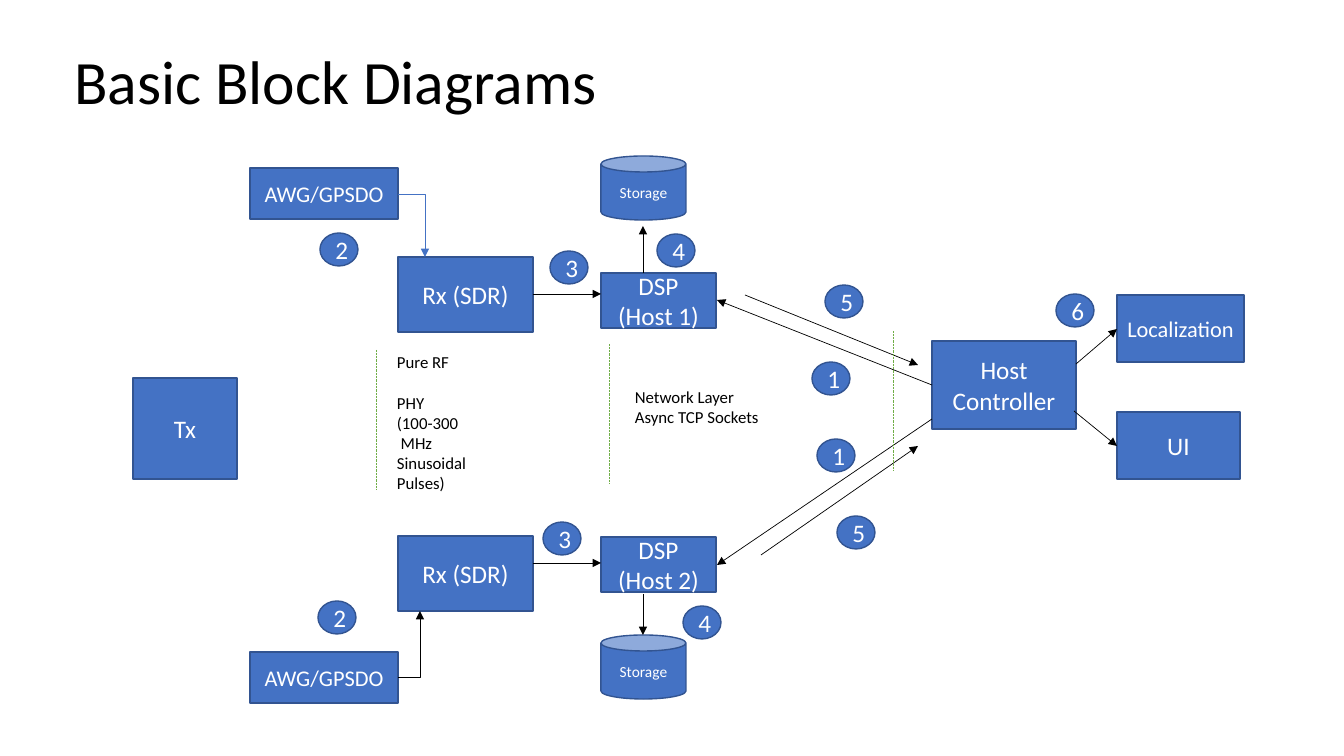
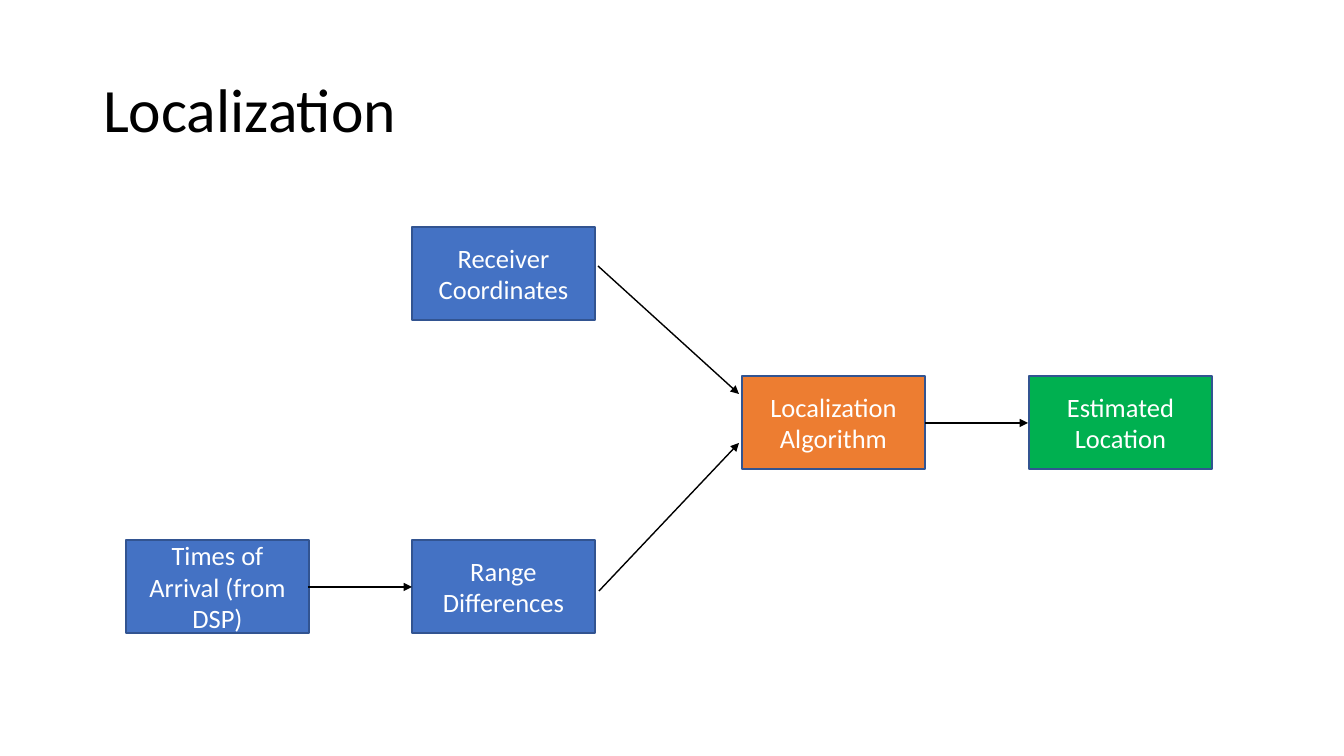
from lxml.etree import SubElement
from pptx import Presentation
from pptx.dml.color import RGBColor
from pptx.enum.dml import MSO_LINE
from pptx.enum.shapes import MSO_CONNECTOR, MSO_SHAPE
from pptx.enum.text import MSO_ANCHOR, MSO_AUTO_SIZE, PP_ALIGN
from pptx.oxml.ns import qn
from pptx.util import Emu, Pt

SLIDE_W, SLIDE_H = 1344, 756
SCALE = 12192000 / SLIDE_W
FONT = "Calibri"
BLACK, WHITE = "000000", "FFFFFF"
BLUE, NAVY, ORANGE, GREEN, LIME = "4472C4", "325491", "ED7D31", "00B050", "70AD47"
TITLE_SIZE = (1159, 146)

# Block diagram: lines of text, left, top, width, height, font size
BLOCKS = [
    (["Tx"], 133, 378, 104, 101, 18),
    (["Rx (SDR)"], 398, 257, 135, 75, 18),
    (["Rx (SDR)"], 398, 536, 135, 75, 18),
    (["DSP", "(Host 1)"], 601, 273, 115, 55, 18),
    (["DSP", "(Host 2)"], 601, 537, 115, 55, 18),
    (["Host", "Controller"], 932, 341, 144, 88, 18),
    (["Localization"], 1117, 295, 127, 67, 16),
    (["UI"], 1117, 412, 123, 67, 18),
    (["AWG/GPSDO"], 250, 168, 148, 51, 16),
    (["AWG/GPSDO"], 250, 652, 148, 51, 16),
]
STORAGE_X, STORAGE_TOPS, STORAGE_SIZE = 601, (156, 635), (85, 64)
ARROWS = [
    (533, 294, 601, 294), (533, 563, 601, 563),
    (643, 273, 643, 226), (643, 594, 643, 635),
    (932, 385, 717, 300), (932, 419, 717, 565),
    (745, 295, 918, 365), (761, 555, 918, 446),
    (1076, 364, 1117, 329), (1074, 411, 1117, 446),
]
CLOCK_ARROWS = [((398, 194, 425, 257), BLUE), ((398, 677, 420, 611), BLACK)]
BADGE_SIZE = (38, 33)
BADGES = {
    "1": [(812, 362), (817, 439)],
    "2": [(320, 233), (318, 601)],
    "3": [(550, 251), (543, 522)],
    "4": [(657, 234), (683, 606)],
    "5": [(825, 285), (837, 516)],
    "6": [(1056, 294)],
}
DIVIDERS, DIVIDER_H = [(376, 350), (893, 331), (609, 344)], 139
SIGNAL_NOTE = ["Pure RF", "PHY", "(100-300", " MHz", "Sinusoidal", "Pulses)"]
NETWORK_NOTE = ["Network Layer", "Async TCP Sockets"]

# Localization flow: text, left, top, fill
STEP_SIZE = (183, 93)
STEPS = [
    ("Times of Arrival (from DSP)", 126, 540, BLUE),
    ("Receiver Coordinates", 412, 227, BLUE),
    ("Range Differences", 412, 540, BLUE),
    ("Localization Algorithm", 742, 376, ORANGE),
    ("Estimated Location", 1029, 376, GREEN),
]
STEP_ARROWS = [
    (308, 587, 412, 587), (599, 591, 739, 443),
    (598, 266, 739, 394), (925, 423, 1028, 423),
]


def px(*values):
    return [Emu(round(v * SCALE)) for v in values]


def rgb(color):
    return RGBColor.from_string(color)


def put_text(tf, lines, size=18, color=WHITE, align=PP_ALIGN.CENTER, anchor=MSO_ANCHOR.MIDDLE,
             spacing=None, after=None, gaps=()):
    """Write one paragraph per line; gaps lists the lines set off by an empty line's height."""
    tf.vertical_anchor = anchor
    for i, line in enumerate(lines):
        p = tf.add_paragraph() if i else tf.paragraphs[0]
        p.alignment = align
        if spacing:
            p.line_spacing = spacing
        if after:
            p.space_after = Pt(after)
        if i in gaps:
            p.space_before = Pt(size * 1.2)
        r = p.add_run()
        r.text = line
        r.font.name, r.font.size = FONT, Pt(size)
        r.font.color.rgb = rgb(color)


def add_slide(prs, title, left, top):
    s = prs.slides.add_slide(prs.slide_layouts[5])
    sp = s.shapes.title
    sp.left, sp.top, sp.width, sp.height = px(left, top, *TITLE_SIZE)
    sp.text_frame.auto_size = MSO_AUTO_SIZE.NONE
    put_text(sp.text_frame, [title], size=44, color=BLACK, align=PP_ALIGN.LEFT, spacing=0.9)
    return s


def add_block(s, lines, left, top, width, height, shape=MSO_SHAPE.RECTANGLE, fill=BLUE, **fmt):
    sp = s.shapes.add_shape(shape, *px(left, top, width, height))
    sp.shadow.inherit = False
    sp.fill.solid()
    sp.fill.fore_color.rgb = rgb(fill)
    sp.line.color.rgb = rgb(NAVY)
    sp.line.width = Pt(1)
    put_text(sp.text_frame, lines, **fmt)


def add_note(s, lines, left, top, width, height, **fmt):
    tf = s.shapes.add_textbox(*px(left, top, width, height)).text_frame
    tf.word_wrap = False
    put_text(tf, lines, size=12, color=BLACK, align=PP_ALIGN.LEFT, anchor=MSO_ANCHOR.TOP, **fmt)


def add_line(s, ends, color=BLACK, width=0.5, arrow=True, bent=False):
    kind = MSO_CONNECTOR.ELBOW if bent else MSO_CONNECTOR.STRAIGHT
    c = s.shapes.add_connector(kind, *px(*ends))
    c.line.color.rgb = rgb(color)
    c.line.width = Pt(width)
    props = c._element.spPr
    if bent:
        props.find(qn("a:prstGeom")).set("prst", "bentConnector2")
    if arrow:
        SubElement(props.find(qn("a:ln")), qn("a:tailEnd"), type="triangle")
    else:
        c.line.dash_style = MSO_LINE.ROUND_DOT
    SubElement(props, qn("a:effectLst"))


def build_block_diagram(prs):
    s = add_slide(prs, "Basic Block Diagrams", 64, 12)
    for lines, left, top, width, height, size in BLOCKS:
        add_block(s, lines, left, top, width, height, size=size)
    for top in STORAGE_TOPS:
        add_block(s, ["Storage"], STORAGE_X, top, *STORAGE_SIZE, shape=MSO_SHAPE.CAN, size=11)
    for ends in ARROWS:
        add_line(s, ends)
    for ends, color in CLOCK_ARROWS:
        add_line(s, ends, color=color, bent=True)
    for number, places in BADGES.items():
        for left, top in places:
            add_block(s, [number], left, top, *BADGE_SIZE, shape=MSO_SHAPE.OVAL)
    for x, top in DIVIDERS:
        add_line(s, (x, top, x, top + DIVIDER_H), color=LIME, arrow=False)
    add_note(s, SIGNAL_NOTE, 387, 347, 94, 152, gaps=(1,))
    add_note(s, NETWORK_NOTE, 625, 382, 146, 50)


def build_localization(prs):
    s = add_slide(prs, "Localization", 93, 40)
    for text, left, top, fill in STEPS:
        add_block(s, [text], left, top, *STEP_SIZE, fill=fill, size=18.9, after=6)
    for ends in STEP_ARROWS:
        add_line(s, ends, width=1)


def main():
    prs = Presentation()
    prs.slide_width, prs.slide_height = px(SLIDE_W, SLIDE_H)
    build_block_diagram(prs)
    build_localization(prs)
    prs.save("out.pptx")


if __name__ == "__main__":
    main()
